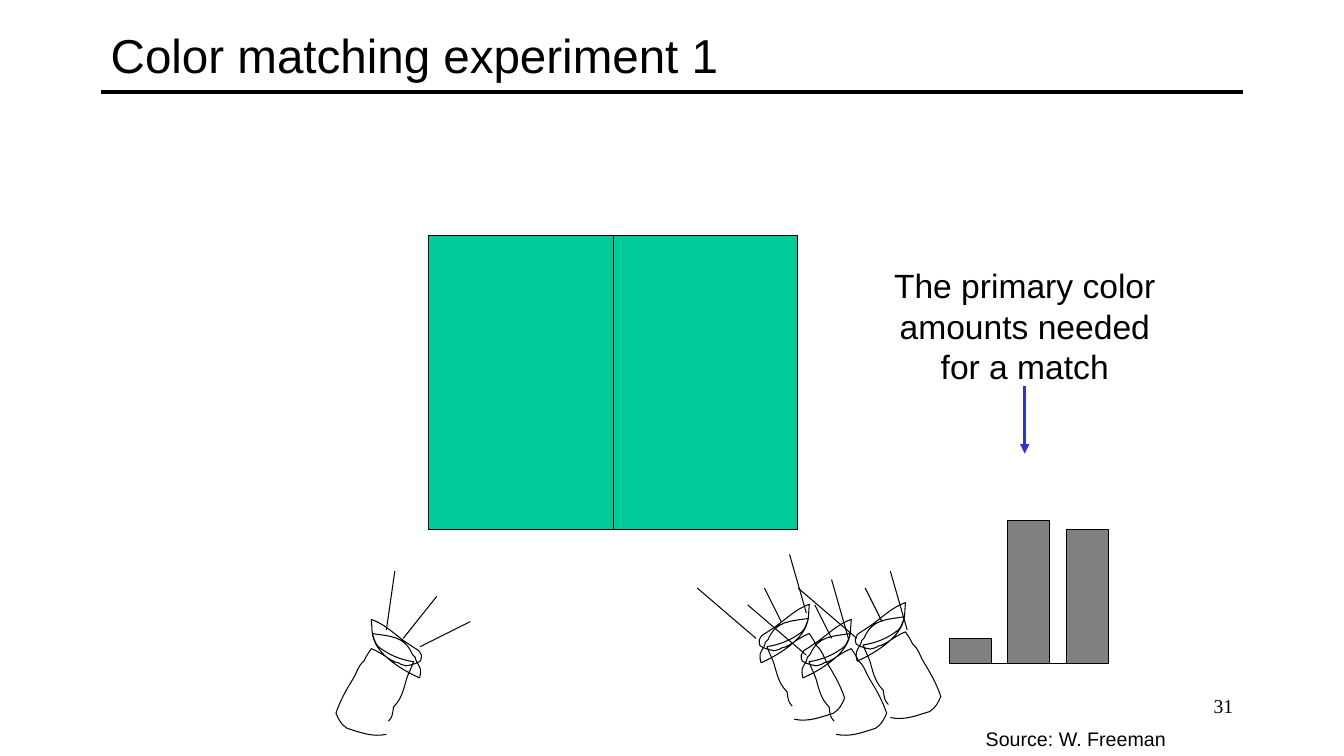
from lxml import etree
from pptx import Presentation
from pptx.dml.color import RGBColor
from pptx.enum.shapes import MSO_CONNECTOR, MSO_SHAPE
from pptx.enum.text import MSO_ANCHOR, PP_ALIGN
from pptx.oxml.ns import qn
from pptx.util import Pt

STRAIGHT = MSO_CONNECTOR.STRAIGHT
RECT = MSO_SHAPE.RECTANGLE
TOP, MIDDLE = MSO_ANCHOR.TOP, MSO_ANCHOR.MIDDLE
LEFT, CENTER, RIGHT = PP_ALIGN.LEFT, PP_ALIGN.CENTER, PP_ALIGN.RIGHT

COLORS = {"ink": "000000", "field": "00CC99", "bar": "808080", "arrow": "3333CC"}

UNIT = 0.72
LAMP_WIDTH = 87
LAMP_START = (37, 114)
LAMP_CURVES = [
    (51, 117, 63, 112, 76, 108), (82, 104, 84, 100, 87, 93),
    (83, 81, 77, 70, 70, 59), (66, 52, 65, 46, 59, 41),
    (57, 36, 55, 34, 52, 29), (44, 32, 38, 37, 31, 41),
    (29, 42, 27, 43, 25, 43), (23, 45, 17, 46, 17, 46),
    (12, 45, 7, 44, 3, 41), (0, 31, 6, 31, 14, 25),
    (27, 17, 37, 5, 52, 0), (51, 7, 52, 15, 49, 21),
    (43, 37, 20, 51, 4, 58), (2, 49, 3, 49, 7, 42),
    (10, 35, 6, 40, 11, 35), (19, 16, 33, 17, 51, 14),
    (50, 17, 48, 24, 45, 27), (35, 35, 23, 40, 10, 42),
    (12, 48, 15, 53, 17, 59), (20, 70, 22, 79, 30, 87),
    (30, 89, 31, 95, 32, 97), (33, 99, 35, 101, 35, 101),
]


class Board:
    """Draws styled elements on one slide."""

    def __init__(self, slide):
        self.shapes = slide.shapes
        self.thin = 0.75

    def color(self, name):
        return RGBColor.from_string(COLORS[name])

    def stroke(self, shape, color="ink", width=None):
        shape.line.color.rgb = self.color(color)
        shape.line.width = Pt(width or self.thin)

    def line(self, x1, y1, x2, y2, color="ink", width=None, head=False):
        line = self.shapes.add_connector(STRAIGHT, Pt(x1), Pt(y1), Pt(x2), Pt(y2))
        self.stroke(line, color, width)
        props = line._element.spPr
        if head:
            etree.SubElement(props.find(qn("a:ln")), qn("a:tailEnd"), type="triangle")
        etree.SubElement(props, qn("a:effectLst"))

    def rect(self, x, y, w, h, fill):
        rect = self.shapes.add_shape(RECT, Pt(x), Pt(y), Pt(w), Pt(h))
        rect.shadow.inherit = False
        rect.fill.solid()
        rect.fill.fore_color.rgb = self.color(fill)
        self.stroke(rect)

    def lamp(self, x, y, flip=False):
        knots = [LAMP_START]
        for curve in LAMP_CURVES:
            knots += zip(curve[::2], curve[1::2])
        points = [(Pt(x + UNIT * (LAMP_WIDTH - px if flip else px)), Pt(y + UNIT * py))
                  for px, py in knots]
        pen = self.shapes.build_freeform(*points[0], scale=1.0)
        pen.add_line_segments(points[1:], close=False)
        lamp = pen.convert_to_shape()
        self.bend(lamp)
        lamp.shadow.inherit = False
        lamp.fill.background()
        self.stroke(lamp)

    def bend(self, shape):
        outline = next(shape._element.iter(qn("a:path")))
        sides = outline.findall(qn("a:lnTo"))
        for i in range(0, len(sides), 3):
            curve = etree.SubElement(outline, qn("a:cubicBezTo"))
            for side in sides[i:i + 3]:
                curve.append(side[0])
                outline.remove(side)

    def text(self, x, y, w, h, text, size, font="Arial", align=LEFT, anchor=TOP, wrap=True):
        frame = self.shapes.add_textbox(Pt(x), Pt(y), Pt(w), Pt(h)).text_frame
        frame.word_wrap = wrap
        frame.vertical_anchor = anchor
        frame.text = text
        para = frame.paragraphs[0]
        para.alignment = align
        style = para.runs[0].font
        style.name, style.size = font, Pt(size)
        style.color.rgb = self.color("ink")

    def rays(self, dx, dy, *starts):
        for x, y in starts:
            self.line(x, y, x + dx, y + dy)


def main():
    deck = Presentation()
    deck.slide_width, deck.slide_height = Pt(960), Pt(540)
    board = Board(deck.slides.add_slide(deck.slide_layouts[6]))

    board.line(72, 66, 888, 66, width=3)
    board.text(72, 6, 816, 66, "Color matching experiment 1", 34, anchor=MIDDLE)

    board.rect(306, 168, 132, 210, "field")
    for x, y in ((609.4, 430.5), (570.7, 442.5), (540.7, 431.7)):
        board.lamp(x, y)
    board.lamp(240, 442.5, flip=True)
    board.rays(6, -42, (276, 450))
    board.rays(36, -18, (300, 462))
    board.rays(24, -30, (288, 456))
    board.rect(438, 168, 132, 210, "field")

    base = 474
    board.line(678, base, 774, base)
    for i, h in enumerate((18, 102, 96)):
        board.rect(678 + 42 * i, base - h, 30, h, "bar")

    board.rays(-42, -36, (540, 456), (576, 468), (612, 456))
    board.rays(-12, -42, (576, 438), (606, 456), (648, 450))
    board.rays(-12, -24, (630, 444), (594, 456), (558, 444))

    board.text(624, 186, 216, 94, "The primary color amounts needed for a match", 24, align=CENTER)
    board.line(732, 276, 732, 324, "arrow", 2.25, head=True)
    board.text(697, 516, 143, 24, "Source: W. Freeman", 14, wrap=False)
    board.text(688, 492, 200, 36, "31", 14, "Times New Roman", RIGHT)

    deck.save("out.pptx")


if __name__ == "__main__":
    main()
